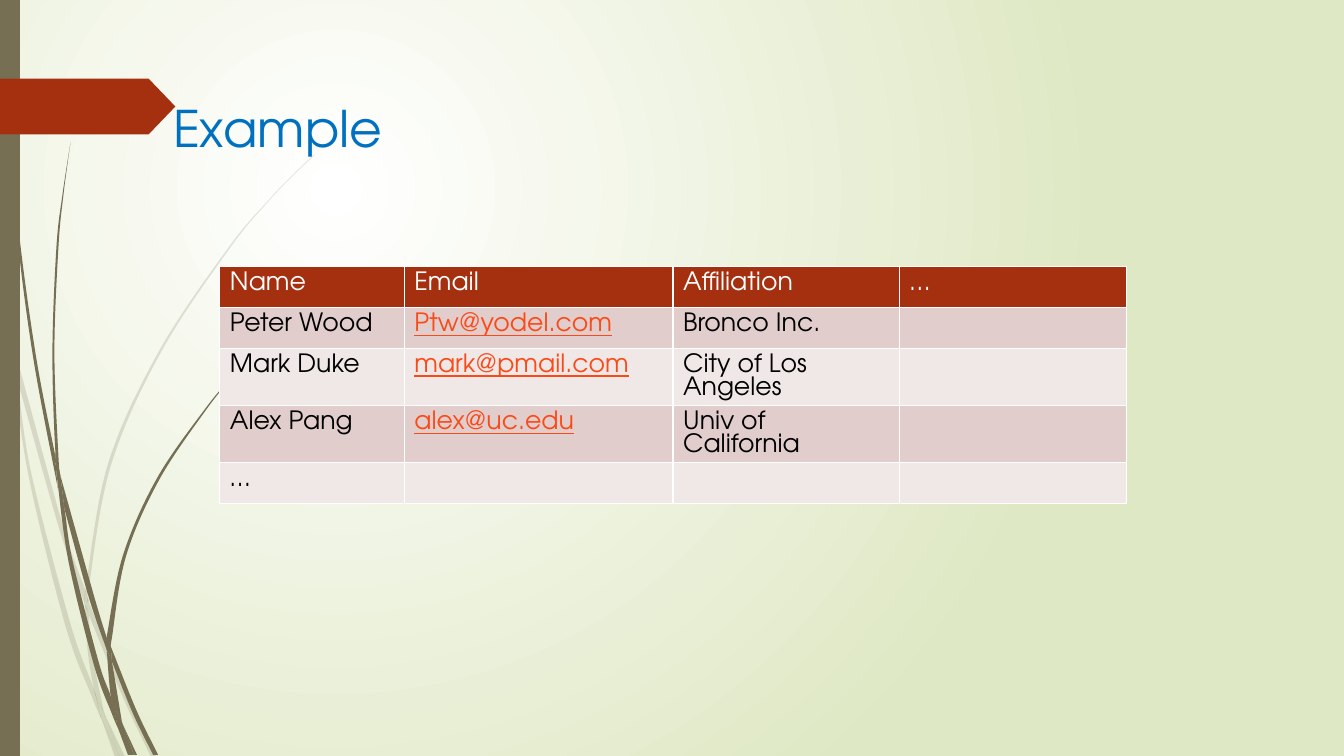
from dataclasses import dataclass

from lxml.etree import Element, SubElement
from pptx import Presentation
from pptx.dml.color import RGBColor as Rgb
from pptx.enum.shapes import MSO_SHAPE as Preset
from pptx.enum.text import MSO_ANCHOR as Anchor, PP_ALIGN as Align
from pptx.oxml import parse_xml
from pptx.oxml.ns import nsdecls, qn
from pptx.util import Cm, Pt

Point = tuple[int, int]


@dataclass(frozen=True)
class Theme:
    font: str = "TeX Gyre Adventor"
    title: int = 36
    text: int = 18
    white: str = "FFFFFF"
    black: str = "000000"
    lime: str = "DFE8C4"
    olive: str = "766F54"
    rust: str = "A53010"
    blue: str = "0070C0"
    link: str = "FB4A18"
    bands: tuple[str, str] = ("E1CDCC", "F0E8E7")


@dataclass(frozen=True)
class Wisp:
    near: tuple[Point, ...]
    far: tuple[Point, ...]


@dataclass(frozen=True)
class Column:
    width: float
    cells: tuple[str, ...]


THEME = Theme()
UNIT = 0.0254

PALE = (
    Wisp(((11, 350), (9, 322), (0, 282)), ((0, 299), (10, 344), (11, 350))),
    Wisp(((17, 376), (58, 522), (84, 599)), ((85, 586), (62, 520), (14, 345))),
    Wisp(((88, 610), (123, 694), (150, 751)),
         ((155, 751), (127, 692), (92, 607), (88, 596))),
    Wisp(((105, 711), (119, 751)), ((124, 751), (105, 711))),
    Wisp(((11, 350), (28, 470), (65, 621), (92, 693), (101, 714)),
         ((99, 707), (93, 683), (70, 619), (31, 469), (17, 376), (11, 350))),
    Wisp(((84, 599), (87, 646), (93, 683), (96, 692), (105, 711)),
         ((103, 706), (91, 646), (88, 610), (84, 599))),
    Wisp(((88, 596), (88, 584), (110, 462), (160, 349), (229, 245), (268, 198),
          (290, 175), (312, 154)),
         ((312, 153), (289, 175), (268, 197), (228, 244), (158, 348), (107, 461),
          (85, 584), (85, 586))),
    Wisp(((101, 714), (114, 751)), ((119, 751), (101, 714))),
    Wisp(((88, 608), (88, 610), (88, 596)), ((85, 586), (84, 599), (88, 608))),
    Wisp(((93, 683), (99, 707), (101, 714), (119, 751)),
         ((119, 751), (105, 711), (96, 692), (93, 683))),
)

DARK = (
    Wisp(((3, 0), (4, 48), (7, 110), (17, 233), (33, 355), (56, 477), (57, 481)),
         ((55, 457), (55, 453), (36, 355), (19, 232), (8, 109), (5, 48), (4, 0))),
    Wisp(((64, 505), (88, 592), (106, 645)), ((106, 633), (93, 590), (60, 472))),
    Wisp(((111, 656), (132, 708), (152, 749)),
         ((157, 749), (136, 706), (113, 649), (110, 641))),
    Wisp(((57, 477), (68, 557), (93, 659), (111, 708), (117, 722)),
         ((116, 717), (110, 691), (98, 657), (72, 556), (64, 505), (57, 477))),
    Wisp(((60, 472), (58, 453), (54, 349), (58, 245), (63, 193), (70, 141)),
         ((70, 141), (62, 193), (56, 245), (52, 349), (55, 449), (60, 472))),
    Wisp(((122, 719), (133, 749)), ((136, 749), (122, 719))),
    Wisp(((55, 453), (57, 477), (64, 505)), ((60, 472), (55, 449))),
    Wisp(((110, 641), (111, 633), (125, 552), (158, 476), (205, 406), (231, 374),
          (245, 359), (261, 344)),
         ((260, 344), (245, 358), (231, 373), (204, 405), (156, 474), (122, 551),
          (106, 631))),
    Wisp(((117, 722), (127, 749)), ((131, 749), (117, 722))),
    Wisp(((106, 645), (110, 691), (116, 706), (122, 719)),
         ((121, 716), (111, 656), (109, 651), (106, 645))),
    Wisp(((106, 645), (109, 651), (111, 656)), ((110, 641), (106, 631), (106, 645))),
    Wisp(((110, 691), (116, 717), (117, 722), (130, 749)),
         ((133, 749), (122, 719), (116, 706), (110, 691))),
)

COLUMNS = (
    Column(4.65, ("Name", "Peter Wood", "Mark Duke", "Alex Pang", "…")),
    Column(6.77, ("Email", "Ptw@yodel.com", "mark@pmail.com", "alex@uc.edu", "")),
    Column(5.71, ("Affiliation", "Bronco Inc.", "City of Los Angeles", "Univ of California", "")),
    Column(5.71, ("…", "", "", "", "")),
)


def bend(edge: list) -> None:
    spots = [(int(pt.get("x")), int(pt.get("y"))) for pt in edge]
    ends = [spots[0], *spots, spots[-1]]
    for i, pt in enumerate(edge[1:]):
        before, start, end, after = ends[i:i + 4]
        pulls = (
            [a + (b - c) / 6 for a, b, c in zip(start, end, before)],
            [a - (b - c) / 6 for a, b, c in zip(end, after, start)],
        )
        pt.getparent().tag = qn("a:cubicBezTo")
        for x, y in pulls:
            pt.addprevious(Element(qn("a:pt"), x=str(round(x)), y=str(round(y))))


def paint(shape, color: str, alpha: int = 100) -> None:
    shape.shadow.inherit = False
    shape.line.fill.background()
    shape.fill.solid()
    shape.fill.fore_color.rgb = Rgb.from_string(color)
    if alpha < 100:
        tint = next(shape._element.spPr.iter(qn("a:srgbClr")))
        SubElement(tint, qn("a:alpha")).set("val", str(alpha * 1000))


def style(para, size: int, color: str, line: bool = False) -> None:
    for run in para.runs:
        font = run.font
        font.name = THEME.font
        font.size = Pt(size)
        font.bold = False
        font.underline = line
        font.color.rgb = Rgb.from_string(color)


def draw_back(slide) -> None:
    fill = slide.background.fill
    fill.gradient()
    for stop, color in zip(fill.gradient_stops, (THEME.white, THEME.lime)):
        stop.color.rgb = Rgb.from_string(color)
    line = next(slide.element.iter(qn("a:lin")))
    line.getparent().replace(line, parse_xml(
        f'<a:path {nsdecls("a")} path="circle">'
        '<a:fillToRect l="50000" t="50000" r="100000" b="100000"/></a:path>'))


def draw_wisps(slide, wisps: tuple[Wisp, ...], alpha: int) -> None:
    group = slide.shapes.add_group_shape()
    for wisp in wisps:
        first, *rest = [(Cm(x * UNIT), Cm(y * UNIT)) for x, y in wisp.near + wisp.far]
        pen = group.shapes.build_freeform(*first)
        pen.add_line_segments(rest, close=True)
        shape = pen.convert_to_shape()
        spots = list(shape._element.spPr.iter(qn("a:pt")))
        half = len(wisp.near)
        bend(spots[:half])
        bend(spots[half:half + len(wisp.far)])
        paint(shape, THEME.olive, alpha)


def draw_marks(slide) -> None:
    bar = slide.shapes.add_shape(Preset.RECTANGLE, 0, 0, Cm(0.5), Cm(19.05))
    paint(bar, THEME.olive)
    flag = slide.shapes.add_shape(Preset.PENTAGON, 0, Cm(1.98), Cm(4.42), Cm(1.41))
    flag.adjustments[0] = 0.48
    paint(flag, THEME.rust)


def draw_title(slide) -> None:
    title = slide.shapes.title
    slide.shapes._spTree.append(title._element)
    title.left, title.top = Cm(3.73), Cm(2.32)
    title.width, title.height = Cm(27.81), Cm(2.36)
    frame = title.text_frame
    frame.text = "Example"
    frame.vertical_anchor = Anchor.TOP
    frame.margin_left = Cm(0.63)
    para = frame.paragraphs[0]
    para.alignment = Align.LEFT
    style(para, THEME.title, THEME.blue)


def draw_table(slide) -> None:
    rows = len(COLUMNS[0].cells)
    width = sum(column.width for column in COLUMNS)
    table = slide.shapes.add_table(
        rows, len(COLUMNS), Cm(5.54), Cm(6.72), Cm(width), Cm(1.03 * rows)).table
    for x, column in enumerate(COLUMNS):
        table.columns[x].width = Cm(column.width)
        for y, text in enumerate(column.cells):
            cell = table.cell(y, x)
            cell.fill.solid()
            fill = THEME.bands[(y - 1) % 2] if y else THEME.rust
            cell.fill.fore_color.rgb = Rgb.from_string(fill)
            para = cell.text_frame.paragraphs[0]
            para.text = text
            link = "@" in text
            ink = THEME.link if link else THEME.black if y else THEME.white
            style(para, THEME.text, ink, link)


def main() -> None:
    deck = Presentation()
    deck.slide_width, deck.slide_height = Cm(33.87), Cm(19.05)
    slide = deck.slides.add_slide(deck.slide_layouts[5])
    draw_back(slide)
    draw_wisps(slide, PALE, 20)
    draw_wisps(slide, DARK, 100)
    draw_marks(slide)
    draw_title(slide)
    draw_table(slide)
    deck.save("out.pptx")


if __name__ == "__main__":
    main()
